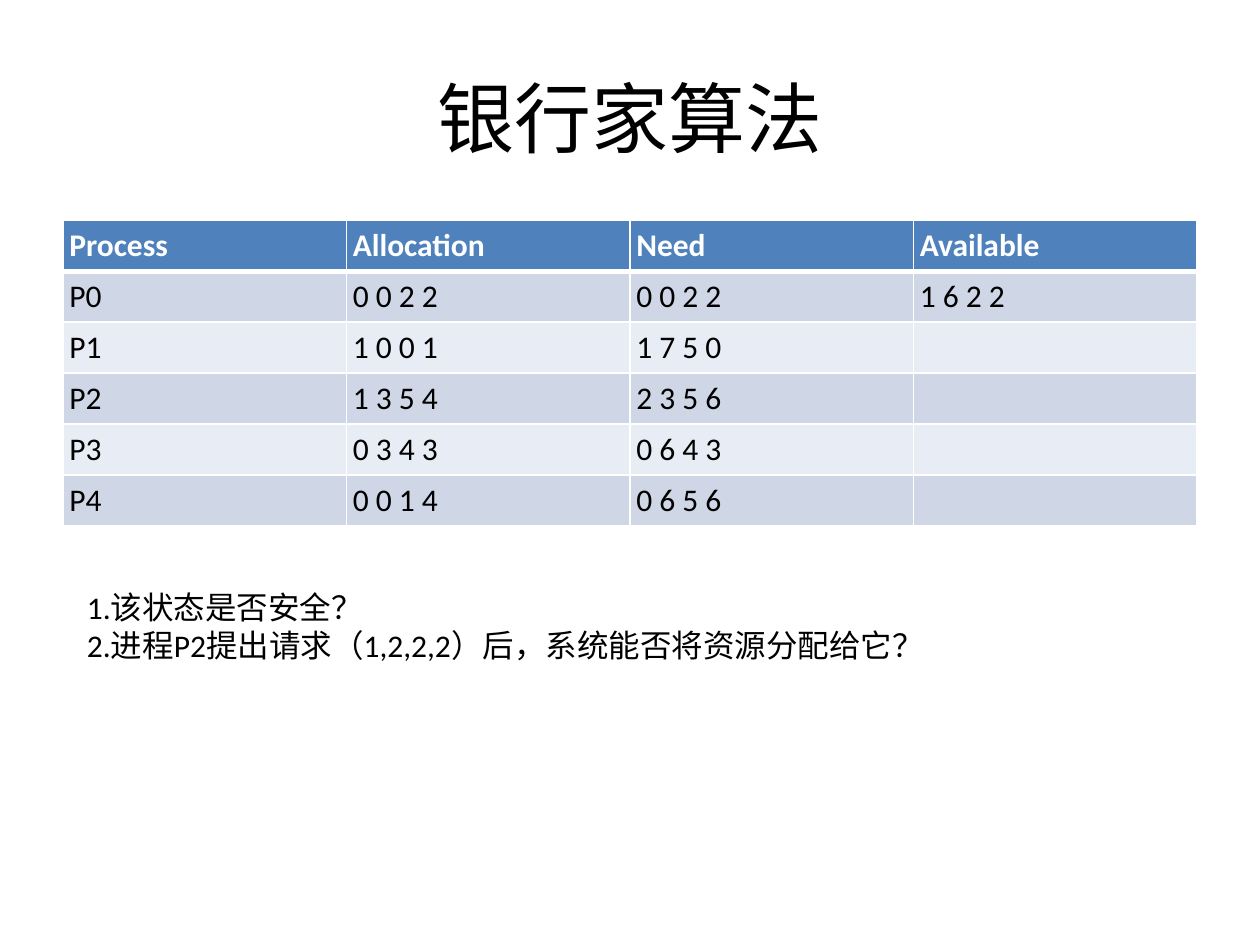
from dataclasses import dataclass

from lxml.etree import SubElement
from pptx import Presentation
from pptx.dml.color import RGBColor
from pptx.enum.text import MSO_ANCHOR, PP_ALIGN
from pptx.oxml.ns import qn
from pptx.util import Inches, Pt


@dataclass(frozen=True)
class Theme:
    ink: str = "000000"
    paper: str = "FFFFFF"
    header: str = "4F81BD"
    bands: tuple[str, str] = ("CFD7E7", "E8ECF4")
    latin: str = "Calibri"
    chinese: str = "Roboto"
    title_size: int = 44
    body_size: int = 18
    inset: float = 0.05
    rule: int = 1
    header_rule: int = 3


@dataclass(frozen=True)
class Area:
    """A rectangle given as shares of the slide's width and height."""
    left: float
    top: float
    width: float
    height: float

    def box(self) -> tuple[int, int, int, int]:
        return (int(SLIDE_W * self.left), int(SLIDE_H * self.top),
                int(SLIDE_W * self.width), int(SLIDE_H * self.height))


@dataclass(frozen=True)
class ProcessRow:
    process: str
    allocation: str
    need: str
    available: str = ""

    def values(self) -> tuple[str, ...]:
        return self.process, self.allocation, self.need, self.available


THEME = Theme()
SLIDE_W, SLIDE_H = Inches(10), Inches(7.5)
TITLE_AREA = Area(0.05, 0.04, 0.9, 1 / 6)
TABLE_AREA = Area(0.05, 0.233, 0.9, 0.324)
QUESTION_AREA = Area(0.064, 0.616, 0.675, 0.113)

TITLE = "银行家算法"
HEADER = ProcessRow("Process", "Allocation", "Need", "Available")
PROCESSES = [
    ProcessRow("P0", "0 0 2 2", "0 0 2 2", "1 6 2 2"),
    ProcessRow("P1", "1 0 0 1", "1 7 5 0"),
    ProcessRow("P2", "1 3 5 4", "2 3 5 6"),
    ProcessRow("P3", "0 3 4 3", "0 6 4 3"),
    ProcessRow("P4", "0 0 1 4", "0 6 5 6"),
]
QUESTIONS = [
    ["1.", "该状态是否安全？"],
    ["2.", "进程", "P2", "提出请求（", "1,2,2,2", "）后，系统能否将资源分配给它？"],
]


def add_run(paragraph, text: str, size: int, color: str = THEME.ink, bold: bool = False) -> None:
    run = paragraph.add_run()
    run.text = text
    font = run.font
    font.size, font.bold = Pt(size), bold
    font.color.rgb = RGBColor.from_string(color)
    font.name = THEME.latin if text.isascii() else THEME.chinese
    if not text.isascii():
        SubElement(run._r.get_or_add_rPr(), qn("a:ea"), typeface=THEME.chinese)


def set_insets(holder) -> None:
    """Give a text frame or a table cell the same margin on every side."""
    holder.margin_left = holder.margin_right = Inches(THEME.inset)
    holder.margin_top = holder.margin_bottom = Inches(THEME.inset)


def add_text(slide, area: Area, paragraphs: list[list[str]], size: int,
             align=PP_ALIGN.LEFT, anchor=MSO_ANCHOR.TOP) -> None:
    frame = slide.shapes.add_textbox(*area.box()).text_frame
    frame.word_wrap = True
    frame.vertical_anchor = anchor
    set_insets(frame)
    for index, pieces in enumerate(paragraphs):
        paragraph = frame.add_paragraph() if index else frame.paragraphs[0]
        paragraph.alignment = align
        for piece in pieces:
            add_run(paragraph, piece, size)


def set_borders(cell, top: int, bottom: int) -> None:
    properties = cell._tc.get_or_add_tcPr()
    widths = {"a:lnL": THEME.rule, "a:lnR": THEME.rule, "a:lnT": top, "a:lnB": bottom}
    for position, (side, width) in enumerate(widths.items()):
        line = SubElement(properties, qn(side), w=str(Pt(width)))
        fill = SubElement(line, qn("a:solidFill"))
        SubElement(fill, qn("a:srgbClr"), val=THEME.paper)
        properties.insert(position, line)


def add_process_table(slide, area: Area, rows: list[ProcessRow]) -> None:
    columns = len(HEADER.values())
    table = slide.shapes.add_table(len(rows), columns, *area.box()).table
    for row, record in enumerate(rows):
        is_header = row == 0
        fill = THEME.header if is_header else THEME.bands[(row - 1) % 2]
        top = THEME.header_rule if row == 1 else THEME.rule
        bottom = THEME.header_rule if is_header else THEME.rule
        for column, value in enumerate(record.values()):
            cell = table.cell(row, column)
            set_insets(cell)
            cell.fill.solid()
            cell.fill.fore_color.rgb = RGBColor.from_string(fill)
            set_borders(cell, top, bottom)
            paragraph = cell.text_frame.paragraphs[0]
            if value:
                add_run(paragraph, value, THEME.body_size,
                        THEME.paper if is_header else THEME.ink, is_header)
            else:
                paragraph.font.size = Pt(THEME.body_size)


def main() -> None:
    deck = Presentation()
    deck.slide_width, deck.slide_height = SLIDE_W, SLIDE_H
    slide = deck.slides.add_slide(deck.slide_layouts[6])
    add_text(slide, TITLE_AREA, [[TITLE]], THEME.title_size,
             PP_ALIGN.CENTER, MSO_ANCHOR.MIDDLE)
    add_process_table(slide, TABLE_AREA, [HEADER, *PROCESSES])
    add_text(slide, QUESTION_AREA, QUESTIONS, THEME.body_size)
    deck.save("out.pptx")


if __name__ == "__main__":
    main()
